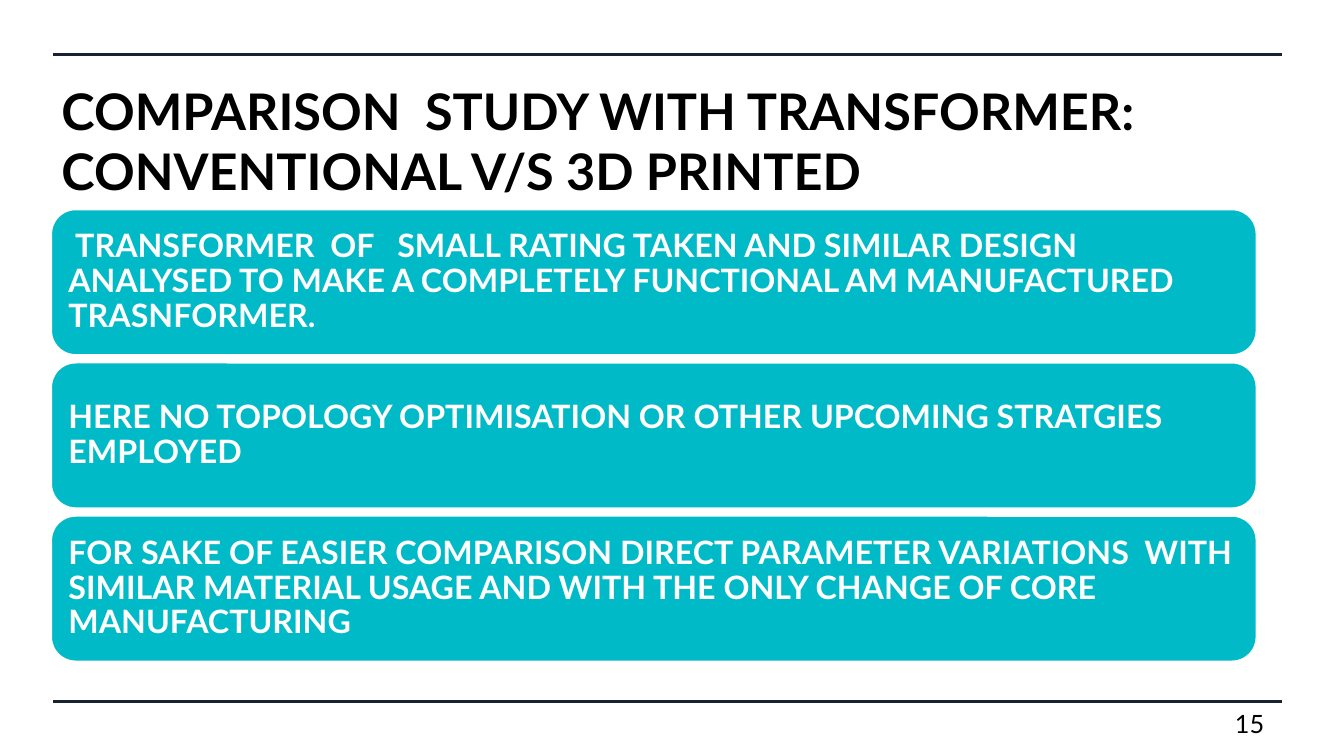
from pptx import Presentation
from pptx.dml.color import RGBColor
from pptx.enum.shapes import MSO_CONNECTOR, MSO_SHAPE
from pptx.enum.text import MSO_ANCHOR, PP_ALIGN
from pptx.oxml.ns import qn
from pptx.util import Inches, Pt

ROUNDED = MSO_SHAPE.ROUNDED_RECTANGLE
STRAIGHT = MSO_CONNECTOR.STRAIGHT
MIDDLE = MSO_ANCHOR.MIDDLE
LEFT = PP_ALIGN.LEFT

TITLE = "COMPARISON  STUDY WITH TRANSFORMER:\vCONVENTIONAL V/S 3D PRINTED"
STATEMENTS = [
    " TRANSFORMER  OF   SMALL RATING TAKEN AND SIMILAR DESIGN "
    " ANALYSED TO MAKE A COMPLETELY FUNCTIONAL AM MANUFACTURED TRASNFORMER.",
    "HERE NO TOPOLOGY OPTIMISATION OR OTHER UPCOMING STRATGIES  EMPLOYED",
    "FOR SAKE OF EASIER COMPARISON DIRECT PARAMETER VARIATIONS  WITH "
    "SIMILAR MATERIAL USAGE AND WITH THE ONLY CHANGE OF CORE  MANUFACTURING",
]


def color(value):
    return RGBColor.from_string(value)


class SlideBuilder:
    font_name = "Lato"
    ink = "000000"
    paper = "FFFFFF"
    rule_color = "182230"
    panel_color = "00BAC8"

    def __init__(self, page):
        self.page = page

    def set_text(self, box, text, size, text_color, bold=False, spacing=1.0):
        frame = box.text_frame
        frame.text = text
        frame.word_wrap = True
        for para in frame.paragraphs:
            para.alignment = LEFT
            para.line_spacing = spacing
            for span in para.runs:
                span.font.name = self.font_name
                span.font.size = Pt(size)
                span.font.bold = bold
                span.font.color.rgb = color(text_color)
        return frame

    def rule(self, left, right, top):
        line = self.page.shapes.add_connector(
            STRAIGHT, Inches(left), Inches(top), Inches(right), Inches(top))
        line.line.color.rgb = color(self.rule_color)
        line.line.width = Pt(2.25)
        properties = line._element.spPr
        properties.append(properties.makeelement(qn("a:effectLst"), {}))

    def title(self, text, left, top, width, height):
        box = self.page.shapes.title
        box.left, box.top = Inches(left), Inches(top)
        box.width, box.height = Inches(width), Inches(height)
        frame = self.set_text(box, text, 36, self.ink, bold=True)
        frame.vertical_anchor = MIDDLE

    def panel(self, text, left, top, width, height):
        box = self.page.shapes.add_shape(
            ROUNDED, Inches(left), Inches(top), Inches(width), Inches(height))
        box.shadow.inherit = False
        box.fill.solid()
        box.fill.fore_color.rgb = color(self.panel_color)
        box.line.color.rgb = color(self.paper)
        box.line.width = Pt(1)
        frame = self.set_text(box, text, 23, self.paper, bold=True, spacing=0.9)
        frame.vertical_anchor = MIDDLE
        frame.margin_left = frame.margin_right = Inches(0.1)
        frame.margin_top = frame.margin_bottom = Inches(0.1)

    def label(self, text, left, top, width, height):
        box = self.page.shapes.add_textbox(
            Inches(left), Inches(top), Inches(width), Inches(height))
        self.set_text(box, text, 18, self.ink)


def main():
    deck = Presentation()
    deck.slide_width, deck.slide_height = Inches(13.33), Inches(7.5)
    builder = SlideBuilder(deck.slides.add_slide(deck.slide_layouts[5]))

    # Rules above and below the content
    for top in (0.54, 6.96):
        builder.rule(0.53, 12.72, top)

    # Title
    builder.title(TITLE, 0.51, 0.59, 11.93, 1.6)

    # Stacked statements
    for index, statement in enumerate(STATEMENTS):
        builder.panel(statement, 0.51, 2.08 + index * 1.52, 11.95, 1.44)

    # Page number
    builder.label("15", 12.15, 6.98, 1, 0.4)

    deck.save("out.pptx")


if __name__ == "__main__":
    main()
